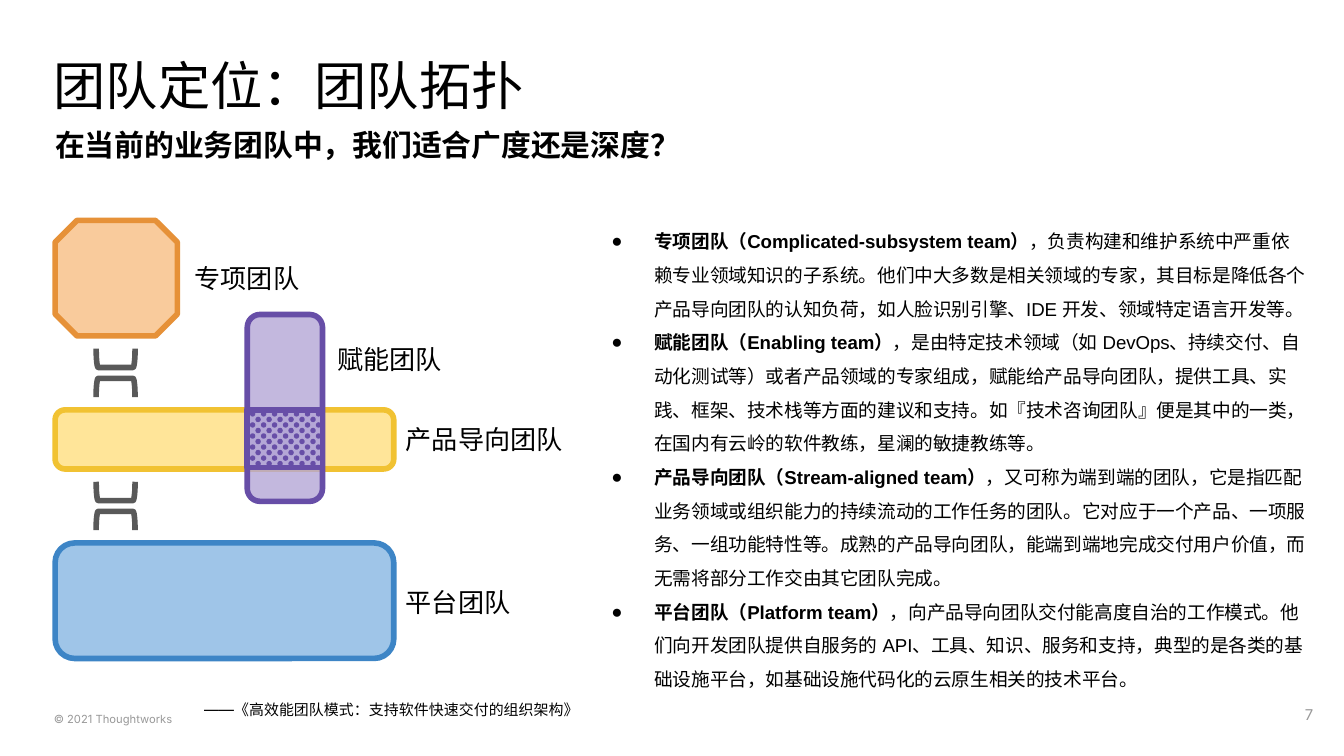
from lxml import etree
from pptx import Presentation
from pptx.dml.color import RGBColor
from pptx.enum.shapes import MSO_SHAPE
from pptx.enum.text import MSO_ANCHOR, PP_ALIGN
from pptx.oxml.ns import qn
from pptx.util import Inches, Pt

PX = 9144
OCTAGON, ROUND = MSO_SHAPE.OCTAGON, MSO_SHAPE.ROUNDED_RECTANGLE
RECT, BRACKET = MSO_SHAPE.RECTANGLE, MSO_SHAPE.RIGHT_BRACKET
DOT = MSO_SHAPE.FLOWCHART_CONNECTOR
TOP, MIDDLE, BOTTOM = MSO_ANCHOR.TOP, MSO_ANCHOR.MIDDLE, MSO_ANCHOR.BOTTOM
LEFT, RIGHT = PP_ALIGN.LEFT, PP_ALIGN.RIGHT

COLORS = {
    "black": "000000", "gray": "999999", "bracket": "595959",
    "orange": "F9CB9C", "orange_line": "E69138",
    "yellow": "FFE599", "yellow_line": "F1C232",
    "blue": "9FC5E8", "blue_line": "3D85C6",
    "purple": "B4A7D6", "purple_line": "674EA7",
}

TEXTS = [
    ("© 2021 Thoughtworks", (40, 521, 431, 19), 6, "Inter", "gray", False, BOTTOM, LEFT, 0),
    ("团队定位：团队拓扑", (40, 40, 919, 63), 28, "Noto Sans CJK SC", "black", False, TOP, LEFT, 0),
    ("7", (927, 510, 60, 43), 8, "Inter", "gray", False, MIDDLE, RIGHT, 10),
    ("在当前的业务团队中，我们适合广度还是深度？", (41, 94, 919, 34), 16, "Inter", "black", True, TOP, LEFT, 0),
    ("——《高效能团队模式：支持软件快速交付的组织架构》", (142, 515, 302, 34), 8, "Inter", "black", False, TOP, LEFT, 10),
]
LABELS = [
    ("专项团队", (135, 185, 249, 44)),
    ("产品导向团队", (292, 305, 139, 44)),
    ("平台团队", (292, 426, 139, 44)),
    ("赋能团队", (241, 245, 191, 44)),
]
TEAMS = [
    (OCTAGON, (41, 164, 91, 86), "orange", 0.19, 100),
    (ROUND, (41, 305, 252, 44), "yellow", 0.17, 100),
    (ROUND, (41, 404, 252, 86), "blue", 0.17, 100),
    (ROUND, (184, 234, 56, 139), "purple", 0.17, 80),
    (RECT, (184, 305, 56, 43), "purple", None, 100),
]
BRACKETS = [(252, 90), (274, 270), (351, 90), (373, 270)]
BULLETS = [
    ("专项团队（Complicated-subsystem team）",
     "，负责构建和维护系统中严重依赖专业领域知识的子系统。他们中大多数是相关领域的专家，其目标是降低各个产品导向团队的认知负荷，如人脸识别引擎、IDE 开发、领域特定语言开发等。"),
    ("赋能团队（Enabling team）",
     "，是由特定技术领域（如 DevOps、持续交付、自动化测试等）或者产品领域的专家组成，赋能给产品导向团队，提供工具、实践、框架、技术栈等方面的建议和支持。如『技术咨询团队』便是其中的一类，在国内有云岭的软件教练，星澜的敏捷教练等。"),
    ("产品导向团队（Stream-aligned team）",
     "，又可称为端到端的团队，它是指匹配业务领域或组织能力的持续流动的工作任务的团队。它对应于一个产品、一项服务、一组功能特性等。成熟的产品导向团队，能端到端地完成交付用户价值，而无需将部分工作交由其它团队完成。"),
    ("平台团队（Platform team）",
     "，向产品导向团队交付能高度自治的工作模式。他们向开发团队提供自服务的 API、工具、知识、服务和支持，典型的是各类的基础设施平台，如基础设施代码化的云原生相关的技术平台。"),
]
BULLET_BOX = (427, 153, 555, 391)
DOT_ROWS, DOT_COLS, DOT_SIZE = 10, 7, 4
DOT_LEFT, DOT_TOP, DOT_DX, DOT_DY = 186, 306, 8.17, 4.11

prs = Presentation()
prs.slide_width = Inches(10)
prs.slide_height = prs.slide_width * 9 // 16
slide = prs.slides.add_slide(prs.slide_layouts[6])


def emu(box):
    return [round(v * PX) for v in box]


def rgb(name):
    return RGBColor.from_string(COLORS[name])


def add_run(p, text, size, font, color, bold):
    r = p.add_run()
    r.text = text
    r.font.size, r.font.name, r.font.bold = Pt(size), font, bold
    r.font.color.rgb = rgb(color)
    etree.SubElement(r.font._element, qn("a:ea"), typeface=font)


def add_frame(box, anchor, inset):
    tf = slide.shapes.add_textbox(*emu(box)).text_frame
    tf.word_wrap = True
    tf.vertical_anchor = anchor
    tf.margin_left = tf.margin_right = tf.margin_top = tf.margin_bottom = inset * PX
    return tf


def add_text(text, box, size, font, color, bold, anchor, align, inset):
    p = add_frame(box, anchor, inset).paragraphs[0]
    p.alignment = align
    add_run(p, text, size, font, color, bold)


def add_shape(kind, box, fill=None, line=None, adj=None, alpha=100):
    sp = slide.shapes.add_shape(kind, *emu(box))
    sp.shadow.inherit = False
    if adj is not None:
        sp.adjustments[0] = adj
    if fill:
        sp.fill.solid()
        sp.fill.fore_color.rgb = rgb(fill)
        if alpha < 100:
            clr = sp._element.spPr.find(qn("a:solidFill"))[0]
            etree.SubElement(clr, qn("a:alpha"), val=str(alpha * 1000))
    else:
        sp.fill.background()
    if line:
        sp.line.color.rgb = rgb(line)
        sp.line.width = Pt(3)
    else:
        sp.line.fill.background()
    return sp


def add_bullet(p):
    pPr = p._p.get_or_add_pPr()
    pPr.set("marL", str(50 * PX))
    pPr.set("indent", str(-32 * PX))
    pPr.set("hangingPunct", "0")
    clr = etree.SubElement(pPr, qn("a:buClr"))
    etree.SubElement(clr, qn("a:srgbClr"), val=COLORS["black"])
    etree.SubElement(pPr, qn("a:buFont"), typeface="Arial")
    etree.SubElement(pPr, qn("a:buChar"), char="●")
    p.line_spacing = 1.5


for text in TEXTS:
    add_text(*text)

for kind, box, color, adj, alpha in TEAMS:
    add_shape(kind, box, color, color + "_line", adj, alpha)

for text, box in LABELS:
    add_text(text, box, 14, "Open Sans", "black", False, MIDDLE, LEFT, 10)

for top, angle in BRACKETS:
    add_shape(BRACKET, (79, top, 14, 29), line="bracket", adj=0.11).rotation = angle

for row in range(DOT_ROWS):
    shift = row % 2
    for col in range(DOT_COLS - shift):
        x = DOT_LEFT + (col + shift / 2) * DOT_DX
        y = DOT_TOP + row * DOT_DY
        add_shape(DOT, (x, y, DOT_SIZE, DOT_SIZE), "purple_line")

tf = add_frame(BULLET_BOX, TOP, 10)
for i, (name, detail) in enumerate(BULLETS):
    p = tf.add_paragraph() if i else tf.paragraphs[0]
    add_bullet(p)
    add_run(p, name, 10, "Arial", "black", True)
    add_run(p, detail, 10, "Arial", "black", False)

prs.save("out.pptx")
